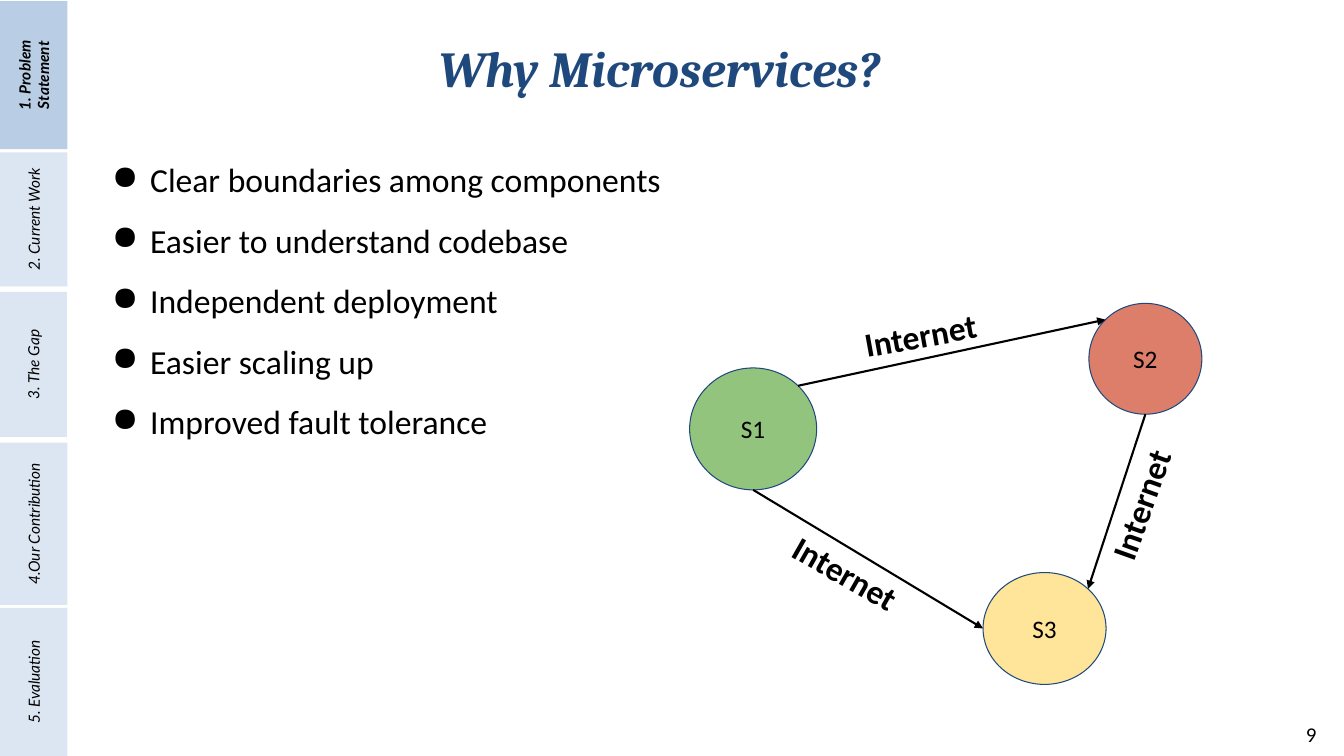
import math

from lxml import etree
from pptx import Presentation
from pptx.dml.color import RGBColor
from pptx.enum.shapes import MSO_CONNECTOR, MSO_SHAPE
from pptx.enum.text import MSO_ANCHOR, MSO_AUTO_SIZE, PP_ALIGN
from pptx.oxml.ns import qn
from pptx.util import Pt

PX = 9144  # EMU per px, 100 px to the inch
RECTANGLE, OVAL = MSO_SHAPE.RECTANGLE, MSO_SHAPE.OVAL
STRAIGHT = MSO_CONNECTOR.STRAIGHT
TOP, MIDDLE = MSO_ANCHOR.TOP, MSO_ANCHOR.MIDDLE
LEFT, CENTER = PP_ALIGN.LEFT, PP_ALIGN.CENTER
NO_FIT, GROW = MSO_AUTO_SIZE.NONE, MSO_AUTO_SIZE.SHAPE_TO_FIT_TEXT

COLORS = {
    "text": "000000",
    "navy": "1F497D",
    "tab": "DCE6F2",
    "active tab": "B9CDE5",
    "green": "93C47D",
    "red": "DD7E6B",
    "yellow": "FFE599",
}
TAB_WIDTH = 67
TABS = [  # label, top, length along the slide edge
    ("1. Problem Statement", 1, 147),
    ("2. Current Work", 151, 133),
    ("3. The Gap", 290, 144),
    ("4.Our Contribution", 439, 161),
    ("5. Evaluation", 603, 147),
]
BENEFITS = [
    "Clear boundaries among components",
    "Easier to understand codebase",
    "Independent deployment",
    "Easier scaling up",
    "Improved fault tolerance",
]
SERVICES = {  # name: fill, left, top, width, height
    "S1": ("green", 684, 365, 126, 121),
    "S2": ("red", 1080, 301, 112, 110),
    "S3": ("yellow", 975, 568, 122, 111),
}
# Oval connection sites, numbered counterclockwise from the top in 45 degree steps
SITE_TOP_LEFT, SITE_LEFT, SITE_BOTTOM, SITE_TOP_RIGHT = 1, 2, 4, 7
CALLS = [
    ("S1", SITE_TOP_RIGHT, "S2", SITE_TOP_LEFT),
    ("S2", SITE_BOTTOM, "S3", SITE_TOP_RIGHT),
    ("S1", SITE_BOTTOM, "S3", SITE_LEFT),
]
CALL_LABELS = [  # left, top, width, rotation
    (836, 305, 154, 349.7),
    (1055, 473, 154, 289.7),
    (765, 541, 146, 29.7),
]


def color(name):
    return RGBColor.from_string(COLORS[name])


def emu(*lengths):
    return [length * PX for length in lengths]


def set_frame(frame, inset, anchor=TOP, fit=NO_FIT):
    frame.word_wrap = True
    frame.auto_size = fit
    frame.vertical_anchor = anchor
    frame.margin_left = frame.margin_right = inset[0] * PX
    frame.margin_top = frame.margin_bottom = inset[1] * PX


def add_span(para, text, size, font="Calibri", ink="text", bold=False, italic=False, align=CENTER):
    para.alignment = align
    span = para.add_run()
    span.text = text
    span.font.name = font
    span.font.size = Pt(size)
    span.font.bold = bold
    span.font.italic = italic
    span.font.color.rgb = color(ink)


def add_label(page, bounds, text, size, inset, rotation=0, bold=False, anchor=TOP, fit=NO_FIT):
    box = page.shapes.add_textbox(*emu(*bounds))
    box.rotation = rotation
    set_frame(box.text_frame, (inset, inset), anchor, fit)
    add_span(box.text_frame.paragraphs[0], text, size, bold=bold)


def add_filled_shape(page, kind, bounds, fill):
    shape = page.shapes.add_shape(kind, *emu(*bounds))
    shape.shadow.inherit = False
    shape.fill.solid()
    shape.fill.fore_color.rgb = color(fill)
    return shape


def add_title(page, text):
    title = page.shapes.title
    title.left, title.top, title.width, title.height = emu(33, 27, 1242, 83)
    set_frame(title.text_frame, (10, 10))
    add_span(title.text_frame.paragraphs[0], text, 36, "Cambria", "navy", bold=True, italic=True)


def add_tab(page, label, top, length, active):
    # Laid out flat around its centre, then turned to read upwards
    bounds = ((TAB_WIDTH - length) // 2, top + (length - TAB_WIDTH) // 2, length, TAB_WIDTH)
    tab = add_filled_shape(page, RECTANGLE, bounds, "active tab" if active else "tab")
    tab.rotation = 270
    tab.line.fill.background()
    set_frame(tab.text_frame, (10, 5), MIDDLE)
    add_span(tab.text_frame.paragraphs[0], label, 11, "Lato", bold=active, italic=True)


def add_bullets(page, bounds, items):
    box = page.shapes.add_textbox(*emu(*bounds))
    frame = box.text_frame
    set_frame(frame, (10, 10))
    for index, item in enumerate(items):
        para = frame.add_paragraph() if index else frame.paragraphs[0]
        para.line_spacing = 1.5
        properties = para._p.get_or_add_pPr()
        properties.set("marL", str(50 * PX))
        properties.set("indent", str(-38 * PX))
        etree.SubElement(properties, qn("a:buChar"), char="●")
        add_span(para, item, 24, align=LEFT)


def add_service(page, name, fill, *bounds):
    service = add_filled_shape(page, OVAL, bounds, fill)
    service.line.color.rgb = color("navy")
    service.line.width = Pt(0.75)
    set_frame(service.text_frame, (7, 7), MIDDLE)
    add_span(service.text_frame.paragraphs[0], name, 18)
    return service


def site_point(oval, site):
    angle = math.radians(45 * site)
    x = oval.left + oval.width / 2 * (1 - math.sin(angle))
    y = oval.top + oval.height / 2 * (1 - math.cos(angle))
    return round(x), round(y)


def add_call(page, source, source_site, target, target_site):
    start, end = site_point(source, source_site), site_point(target, target_site)
    arrow = page.shapes.add_connector(STRAIGHT, *start, *end)
    arrow.line.color.rgb = color("text")
    arrow.line.width = Pt(1.5)
    etree.SubElement(arrow.line._get_or_add_ln(), qn("a:tailEnd"), type="triangle")
    etree.SubElement(arrow._element.spPr, qn("a:effectLst"))
    # Glue both ends to the ovals
    glue = arrow._element.find(".//" + qn("p:cNvCxnSpPr"))
    for tag, oval, site in (("a:stCxn", source, source_site), ("a:endCxn", target, target_site)):
        etree.SubElement(glue, qn(tag), id=str(oval.shape_id), idx=str(site))


def main():
    deck = Presentation()
    deck.slide_width, deck.slide_height = emu(1333, 750)
    page = deck.slides.add_slide(deck.slide_layouts[5])

    # Title and page number
    add_title(page, "Why Microservices?")
    add_label(page, (1267, 708, 67, 40), "9", 15, 10, anchor=MIDDLE)

    # Section tabs, the first one active
    for index, (label, top, length) in enumerate(TABS):
        add_tab(page, label, top, length, active=index == 0)

    # Benefits
    add_bullets(page, (89, 128, 899, 442), BENEFITS)

    # Services and the calls between them
    services = {name: add_service(page, name, *look) for name, look in SERVICES.items()}
    for source, source_site, target, target_site in CALLS:
        add_call(page, services[source], source_site, services[target], target_site)
    for left, top, width, rotation in CALL_LABELS:
        add_label(page, (left, top, width, 56), "Internet", 24, 7, rotation, bold=True, fit=GROW)

    deck.save("out.pptx")


if __name__ == "__main__":
    main()
